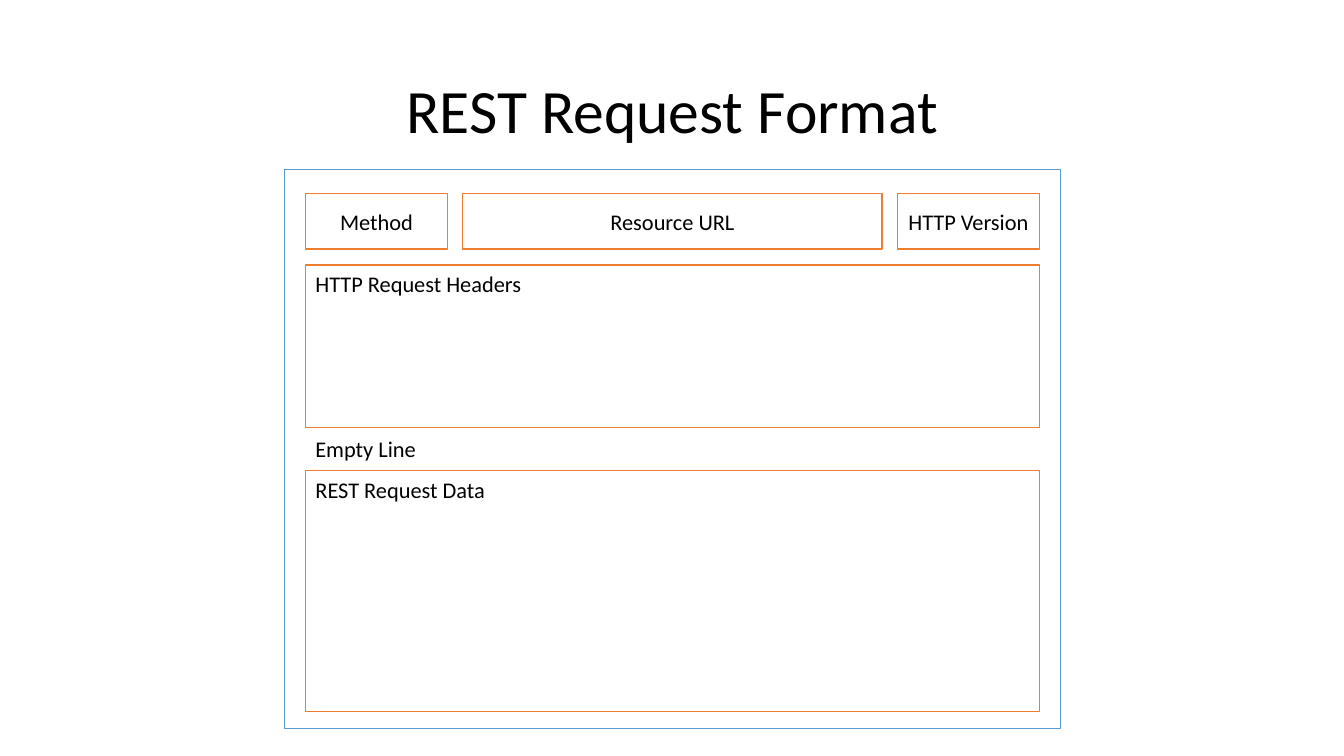
"""Build a slide showing the parts of a REST request as nested boxes."""
from dataclasses import dataclass

from pptx import Presentation
from pptx.dml.color import RGBColor as Color
from pptx.enum.shapes import MSO_SHAPE as Shape
from pptx.enum.text import MSO_ANCHOR as Anchor, PP_ALIGN as Align
from pptx.util import Inches, Pt


@dataclass(frozen=True)
class Theme:
    font: str = "Calibri"
    title_size: int = 44
    label_size: int = 16
    line_width: int = 1
    text_color: str = "000000"
    fill_color: str = "FFFFFF"
    request_color: str = "5B9BD5"
    section_color: str = "ED7D31"


theme = Theme()
deck = Presentation()
deck.slide_width, deck.slide_height = Inches(13.33), Inches(7.5)
page = deck.slides.add_slide(deck.slide_layouts[6])


def write(box, text, size, align, anchor):
    frame = box.text_frame
    frame.word_wrap = True
    frame.vertical_anchor = anchor
    para = frame.paragraphs[0]
    para.text = text
    para.alignment = align
    para.font.name = theme.font
    para.font.size = Pt(size)
    para.font.color.rgb = Color.from_string(theme.text_color)
    return para


def outline(area, color):
    box = page.shapes.add_shape(Shape.RECTANGLE, *map(Inches, area))
    box.shadow.inherit = False
    box.fill.solid()
    box.fill.fore_color.rgb = Color.from_string(theme.fill_color)
    box.line.color.rgb = Color.from_string(color)
    box.line.width = Pt(theme.line_width)
    return box


title = page.shapes.add_textbox(*map(Inches, (0.92, 0.4, 11.5, 1.45)))
heading = write(title, "REST Request Format", theme.title_size, Align.CENTER, Anchor.MIDDLE)
heading.line_spacing = 0.9

outline((2.82, 1.68, 7.7, 5.55), theme.request_color)

left, top, width = 3.03, 1.92, 7.28
column_gap, narrow, row_height = 0.15, 1.41, 0.55
wide = width - 2 * (narrow + column_gap)

column = left
for label, span in (("Method", narrow), ("Resource URL", wide), ("HTTP Version", narrow)):
    box = outline((column, top, span, row_height), theme.section_color)
    write(box, label, theme.label_size, Align.CENTER, Anchor.MIDDLE)
    column += span + column_gap

row = top + row_height + 0.16
row_gap = 0.03
for label, height, boxed in (
    ("HTTP Request Headers", 1.61, True),
    ("Empty Line", 0.37, False),
    ("REST Request Data", 2.39, True),
):
    if boxed:
        box = outline((left, row, width, height), theme.section_color)
    else:
        box = page.shapes.add_textbox(*map(Inches, (left, row, 2.04, height)))
    write(box, label, theme.label_size, Align.LEFT, Anchor.TOP)
    row += height + row_gap

deck.save("out.pptx")
